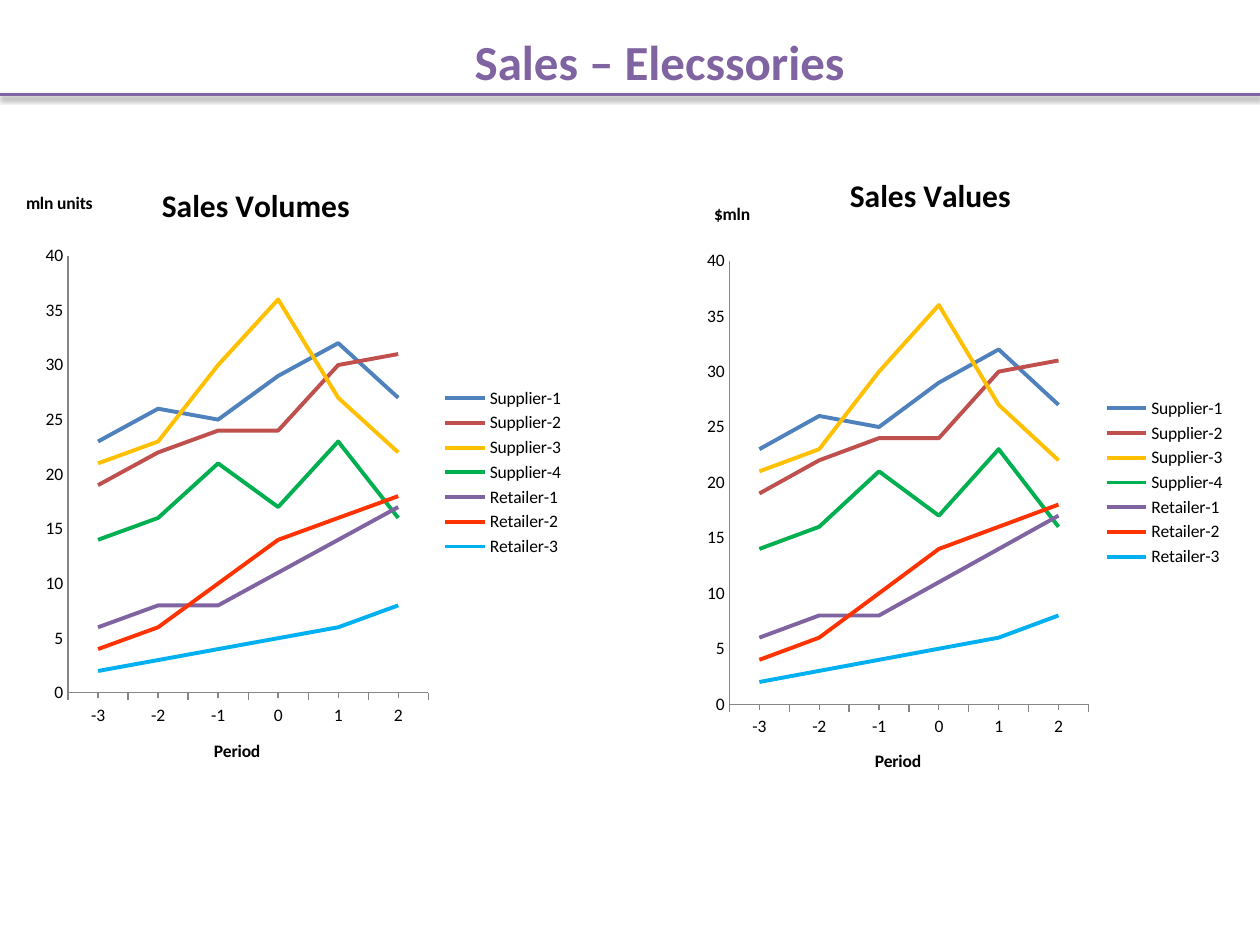
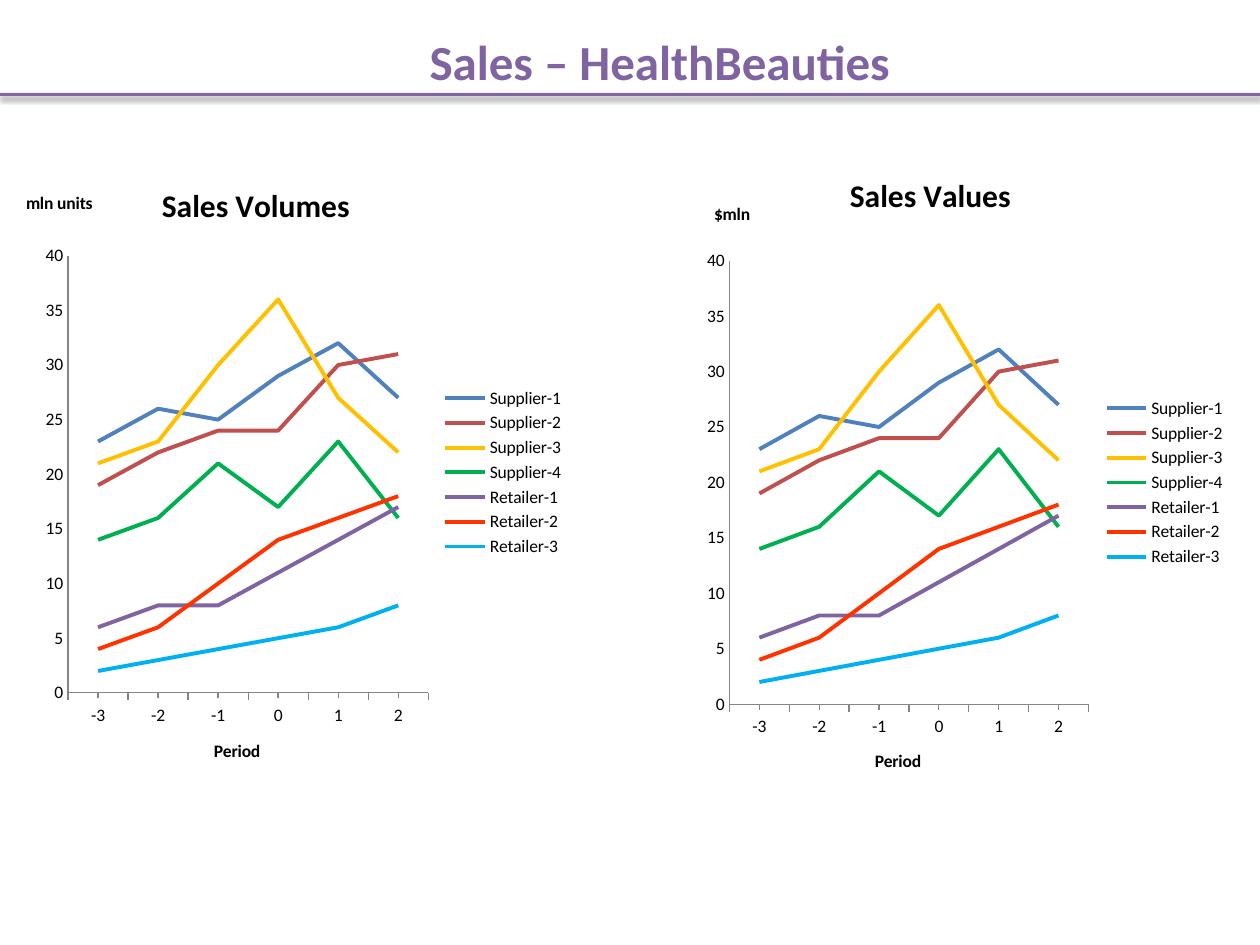
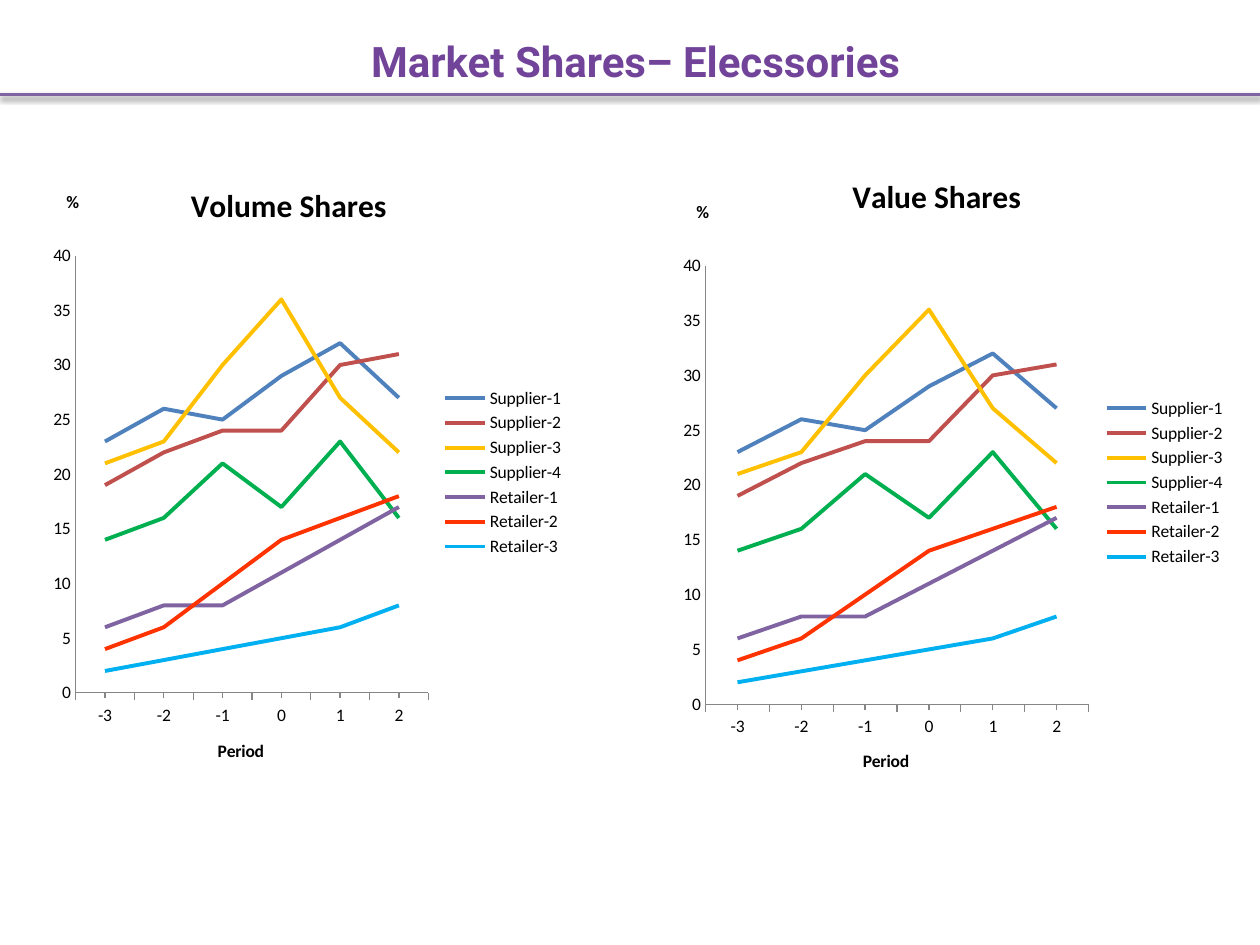
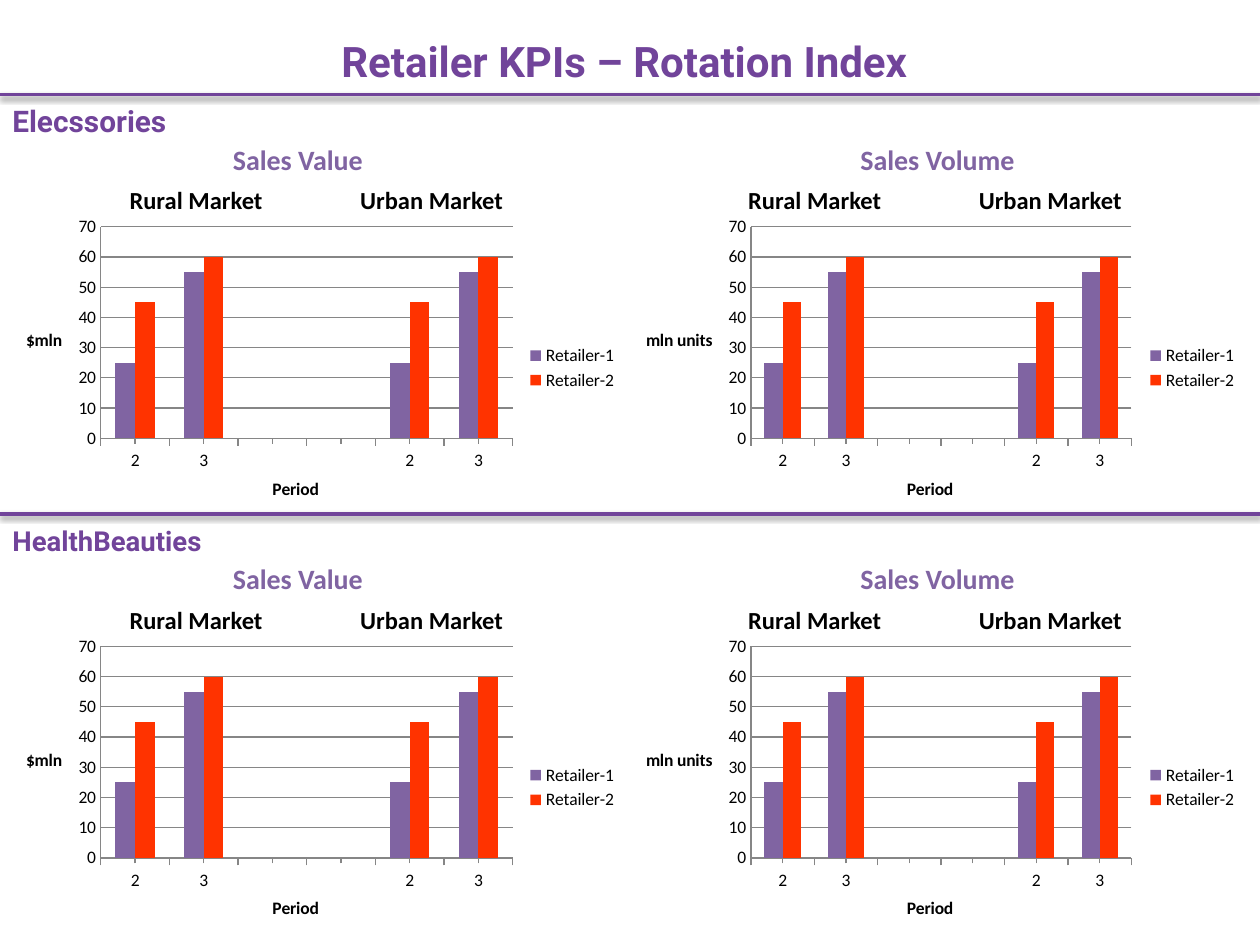
from dataclasses import dataclass

from lxml.etree import SubElement
from pptx import Presentation
from pptx.chart.data import CategoryChartData
from pptx.dml.color import RGBColor
from pptx.enum.chart import (XL_CHART_TYPE as ChartType,
                             XL_LEGEND_POSITION as LegendPosition,
                             XL_TICK_MARK as TickMark)
from pptx.enum.shapes import MSO_CONNECTOR as Connector
from pptx.enum.text import (MSO_ANCHOR as Anchor, MSO_AUTO_SIZE as AutoSize,
                            PP_ALIGN as Align)
from pptx.oxml import parse_xml
from pptx.oxml.ns import nsdecls, qn
from pptx.util import Inches, Pt

COLORS = {
    "purple": "8064A2", "violet": "71449A", "black": "000000", "axis": "868686",
    "blue": "4F81BD", "brick": "C0504D", "amber": "FFC000", "green": "00B050",
    "red": "FF3300", "sky": "00B0F0",
}
BODY_FONT, HEAD_FONT = "Calibri", "Roboto"

PERIODS = ["-3", "-2", "-1", "0", "1", "2"]
TREND_SERIES = [
    ("Supplier-1", "blue", [23, 26, 25, 29, 32, 27]),
    ("Supplier-2", "brick", [19, 22, 24, 24, 30, 31]),
    ("Supplier-3", "amber", [21, 23, 30, 36, 27, 22]),
    ("Supplier-4", "green", [14, 16, 21, 17, 23, 16]),
    ("Retailer-1", "purple", [6, 8, 8, 11, 14, 17]),
    ("Retailer-2", "red", [4, 6, 10, 14, 16, 18]),
    ("Retailer-3", "sky", [2, 3, 4, 5, 6, 8]),
]
# Rural periods, a gap, then urban periods
MARKET_PERIODS = ["2", "3", "", "", "2", "3"]
ROTATION_SERIES = [
    ("Retailer-1", "purple", [25, 55, None, None, 25, 55]),
    ("Retailer-2", "red", [45, 60, None, None, 45, 60]),
]


@dataclass
class Box:
    left: float
    top: float
    width: float
    height: float

    def inches(self):
        return [Inches(n) for n in (self.left, self.top, self.width, self.height)]


def rgb(name):
    return RGBColor.from_string(COLORS[name])


def style_font(font, size, color="black", bold=False, name=BODY_FONT):
    font.size, font.bold, font.name = Pt(size), bold, name
    font.color.rgb = rgb(color)


# Text and rules
def add_label(page, box, text, size, color, font=BODY_FONT, align=Align.LEFT,
              anchor=Anchor.TOP, wrap=False):
    frame = page.shapes.add_textbox(*box.inches()).text_frame
    frame.word_wrap, frame.vertical_anchor = wrap, anchor
    frame.auto_size = AutoSize.NONE if wrap else AutoSize.SHAPE_TO_FIT_TEXT
    para = frame.paragraphs[0]
    para.text, para.alignment = text, align
    style_font(para.font, size, color, True, font)


def add_rule(page, top, color):
    rule = page.shapes.add_connector(Connector.STRAIGHT, Inches(0), Inches(top),
                                     Inches(10), Inches(top))
    rule.line.color.rgb, rule.line.width = rgb(color), Pt(2)
    rule._element.spPr.append(parse_xml(
        f'<a:effectLst {nsdecls("a")}><a:outerShdw blurRad="{Pt(3.1)}" '
        f'dist="{Pt(1.6)}" dir="5400000" rotWithShape="0"><a:srgbClr val="000000">'
        '<a:alpha val="38000"/></a:srgbClr></a:outerShdw></a:effectLst>'))


def add_header(page, left, text, size, color, font, rule_color="purple"):
    add_rule(page, 0.75, rule_color)
    add_label(page, Box(left, 0.05, 9.75, 0.87), text, size, color, font,
              Align.CENTER, Anchor.MIDDLE, True)


# Chart parts
def set_layout(parent, index, **settings):
    """Give a chart part a manual place, in fractions of the chart."""
    for old in parent.findall(qn("c:layout")):
        parent.remove(old)
    layout = parse_xml(f'<c:layout {nsdecls("c")}/>')
    parent.insert(index, layout)
    manual = SubElement(layout, qn("c:manualLayout"))
    for tag, value in settings.items():
        SubElement(manual, qn(f"c:{tag}")).set("val", str(value))


def place_title(title, text, size, box, left, top):
    """Write a title with its text at left, top inside the chart box."""
    para = title.text_frame.paragraphs[0]
    para.text = text
    style_font(para.font, size, bold=True)
    # The renderer pads a title in proportion to its text size
    set_layout(title._element, 1, xMode="edge", yMode="edge",
               x=(left - size / 360) / box.width,
               y=max(0, top - size / 220) / box.height)


def add_chart(page, kind, box, plot_box, categories, series, unit, unit_at):
    """Add a chart; plot_box and unit_at are relative to the chart box."""
    data = CategoryChartData()
    data.categories = categories
    for name, _, values in series:
        data.add_series(name, values)
    chart = page.shapes.add_chart(kind, *box.inches(), data).chart
    style_font(chart.font, 10)
    chart.has_title = False
    chart.has_legend = True
    chart.legend.position = LegendPosition.RIGHT
    chart.legend.include_in_layout = False
    chart.plots[0].vary_by_categories = False
    set_layout(chart._chartSpace.chart.plotArea, 0, layoutTarget="inner",
               xMode="edge", yMode="edge",
               x=plot_box.left / box.width, y=plot_box.top / box.height,
               w=plot_box.width / box.width, h=plot_box.height / box.height)

    # Axes
    period_axis, value_axis = chart.category_axis, chart.value_axis
    for axis, mark in ((period_axis, TickMark.OUTSIDE), (value_axis, TickMark.NONE)):
        axis.major_tick_mark = axis.minor_tick_mark = mark
        axis.format.line.color.rgb = rgb("axis")
        axis.format.line.width = Pt(0.75)
    value_axis.has_major_gridlines = False
    value_axis.minimum_scale = 0
    place_title(period_axis.axis_title, "Period", 10, box,
                plot_box.left + plot_box.width / 2 - 0.27, box.height - 0.36)
    place_title(value_axis.axis_title, unit, 10, box, *unit_at)
    value_axis.axis_title.text_frame._txBody.bodyPr.set("rot", "0")
    return chart


def add_trend_chart(page, box, plot_box, title, title_at, unit, unit_at):
    chart = add_chart(page, ChartType.LINE, box, plot_box, PERIODS, TREND_SERIES,
                      unit, unit_at)
    chart.value_axis.maximum_scale, chart.value_axis.major_unit = 40, 5
    chart.has_title = True
    place_title(chart.chart_title, title, 18, box, *title_at)
    for line, (_, color, _) in zip(chart.plots[0].series, TREND_SERIES):
        line.smooth = False
        line.format.line.color.rgb, line.format.line.width = rgb(color), Pt(2.25)


def add_rotation_chart(page, box, plot_box, unit, unit_left):
    chart = add_chart(page, ChartType.COLUMN_CLUSTERED, box, plot_box,
                      MARKET_PERIODS, ROTATION_SERIES, unit, (unit_left, 0.96))
    axis = chart.value_axis
    axis.maximum_scale, axis.major_unit = 70, 10
    axis.has_major_gridlines = True
    axis.major_gridlines.format.line.color.rgb = rgb("axis")
    axis.major_gridlines.format.line.width = Pt(0.75)
    chart.plots[0].gap_width, chart.plots[0].overlap = 150, 0
    for bars, (_, color, _) in zip(chart.plots[0].series, ROTATION_SERIES):
        bars.format.fill.solid()
        bars.format.fill.fore_color.rgb = rgb(color)


# Slide types
def build_sales(page, market):
    add_header(page, 0.36, f"Sales – {market}", 28, "purple", BODY_FONT)
    add_trend_chart(page, Box(-0.5, 1.25, 5.08, 5), Box(1.04, 0.78, 2.86, 3.47),
                    "Sales Volumes", (1.79, 0.24), "mln units", (0.71, 0.29))
    add_trend_chart(page, Box(5, 1.33, 4.83, 5), Box(0.79, 0.74, 2.85, 3.52),
                    "Sales Values", (1.75, 0.06), "$mln", (0.67, 0.3))


def build_shares(page, market):
    add_header(page, 0.17, f"Market Shares– {market}", 24, "violet", HEAD_FONT)
    add_trend_chart(page, Box(0, 1.25, 4.58, 5), Box(0.6, 0.78, 2.8, 3.47),
                    "Volume Shares", (1.52, 0.24), "%", (0.53, 0.28))
    add_trend_chart(page, Box(5, 1.33, 4.83, 5), Box(0.6, 0.78, 3.04, 3.48),
                    "Value Shares", (1.77, 0.09), "%", (0.53, 0.28))


def add_rotation_band(page, band, market, name_size):
    """One market: its name, then value and volume charts side by side."""
    add_label(page, Box(band.left, band.top, 1.83, 0.58), market, name_size,
              "violet", HEAD_FONT, anchor=Anchor.MIDDLE, wrap=True)
    halves = [  # measure, its left and width, rural left, chart left, plot, unit
        ("Sales Value", 1.75, 1.24, 0.93, 0, Box(0.8, 0.13, 3.27, 1.68), "$mln"),
        ("Sales Volume", 6.73, 1.44, 5.84, 4.92, Box(1.04, 0.13, 3.02, 1.68),
         "mln units"),
    ]
    places = [("Rural Market", 0, 1.27), ("Urban Market", 1.83, 1.34)]
    for measure, left, width, rural_left, chart_left, plot_box, unit in halves:
        add_rotation_chart(page, Box(band.left + chart_left, band.top + 1, 5, 2.5),
                           plot_box, unit, 0.21)
        add_label(page, Box(band.left + left, band.top + 0.41, width, 0.37),
                  measure, 16, "purple")
        for place, offset, place_width in places:
            add_label(page, Box(band.left + rural_left + offset, band.top + 0.75,
                                place_width, 0.34), place, 14, "black")


def build_rotation(page):
    add_header(page, 0.08, "Retailer KPIs – Rotation Index", 24, "violet",
               HEAD_FONT, "violet")
    add_rule(page, 4.08, "violet")
    add_rotation_band(page, Box(0, 0.67, 10, 3.5), "Elecssories", 17)
    add_rotation_band(page, Box(0, 4, 10, 3.5), "HealthBeauties", 15.7)


def main():
    deck = Presentation()
    deck.slide_width, deck.slide_height = Inches(10), Inches(7.5)
    blank = deck.slide_layouts[6]
    for market in ("Elecssories", "HealthBeauties"):
        build_sales(deck.slides.add_slide(blank), market)
    build_shares(deck.slides.add_slide(blank), "Elecssories")
    build_rotation(deck.slides.add_slide(blank))
    deck.save("out.pptx")


if __name__ == "__main__":
    main()
